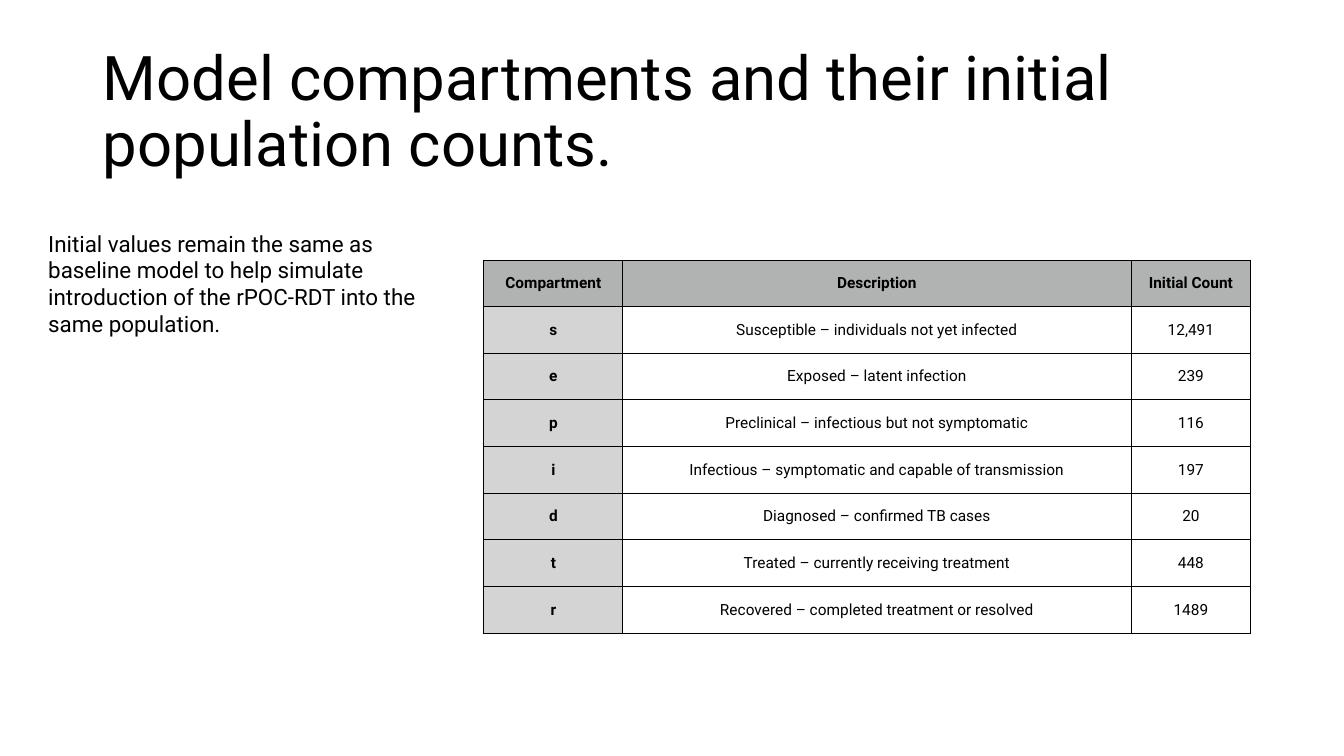
from dataclasses import dataclass

from lxml import etree
from pptx import Presentation
from pptx.dml.color import RGBColor
from pptx.enum.text import MSO_ANCHOR, MSO_AUTO_SIZE, PP_ALIGN
from pptx.oxml.ns import qn
from pptx.util import Inches, Pt

MIDDLE = MSO_ANCHOR.MIDDLE
LEFT, CENTER = PP_ALIGN.LEFT, PP_ALIGN.CENTER
NO_FIT, GROW = MSO_AUTO_SIZE.NONE, MSO_AUTO_SIZE.SHAPE_TO_FIT_TEXT
TITLE_ONLY = 5


@dataclass(frozen=True)
class Theme:
    font: str = "Roboto"
    ink: str = "000000"
    header_fill: str = "B0B3B2"
    key_fill: str = "D4D4D4"
    title_size: int = 44
    body_size: int = 16
    table_size: int = 11
    border: float = 0.75
    cell_margin: float = 0.03


class SlideBuilder:
    """Places styled elements on one slide; lengths are percent of its size."""

    def __init__(self, deck, theme):
        self.deck, self.theme = deck, theme
        self.slide = deck.slides.add_slide(deck.slide_layouts[TITLE_ONLY])

    def across(self, percent):
        return round(self.deck.slide_width * percent / 100)

    def down(self, percent):
        return round(self.deck.slide_height * percent / 100)

    def box(self, left, top, width, height):
        return self.across(left), self.down(top), self.across(width), self.down(height)

    def set_text(self, frame, text, size, align, bold=False):
        frame.text = text
        for paragraph in frame.paragraphs:
            paragraph.alignment = align
            for run in paragraph.runs:
                run.font.name = self.theme.font
                run.font.size = Pt(size)
                run.font.bold = bold
                run.font.color.rgb = RGBColor.from_string(self.theme.ink)

    def title(self, text, *place):
        heading = self.slide.shapes.title
        heading.left, heading.top, heading.width, heading.height = self.box(*place)
        frame = heading.text_frame
        self.set_text(frame, text, self.theme.title_size, LEFT)
        frame.word_wrap = True
        frame.auto_size = NO_FIT
        frame.vertical_anchor = MIDDLE
        frame.paragraphs[0].line_spacing = 0.9

    def paragraph(self, text, *place):
        frame = self.slide.shapes.add_textbox(*self.box(*place)).text_frame
        frame.word_wrap = True
        frame.auto_size = GROW
        self.set_text(frame, text, self.theme.body_size, LEFT)

    def table(self, rows, left, top, column_widths, row_height):
        place = self.box(left, top, sum(column_widths), row_height * len(rows))
        grid = self.slide.shapes.add_table(len(rows), len(column_widths), *place).table
        for column, width in zip(grid.columns, column_widths):
            column.width = self.across(width)
        for r, row in enumerate(rows):
            grid.rows[r].height = self.down(row_height)
            for c, text in enumerate(row):
                self.cell(grid.cell(r, c), text, is_header=r == 0, is_key=c == 0)

    def cell(self, cell, text, is_header, is_key):
        self.set_text(cell.text_frame, text, self.theme.table_size, CENTER,
                      is_header or is_key)
        cell.vertical_anchor = MIDDLE
        margin = Inches(self.theme.cell_margin)
        cell.margin_left = cell.margin_right = margin
        cell.margin_top = cell.margin_bottom = margin
        if is_header or is_key:
            cell.fill.solid()
            fill = self.theme.header_fill if is_header else self.theme.key_fill
            cell.fill.fore_color.rgb = RGBColor.from_string(fill)
        else:
            cell.fill.background()
        self.outline(cell)

    def outline(self, cell):
        properties = cell._tc.get_or_add_tcPr()
        for position, side in enumerate(("a:lnL", "a:lnR", "a:lnT", "a:lnB")):
            line = etree.Element(qn(side), w=str(Pt(self.theme.border)))
            solid = etree.SubElement(line, qn("a:solidFill"))
            etree.SubElement(solid, qn("a:srgbClr"), val=self.theme.ink)
            properties.insert(position, line)


COMPARTMENTS = [
    ("Compartment", "Description", "Initial Count"),
    ("s", "Susceptible – individuals not yet infected", "12,491"),
    ("e", "Exposed – latent infection", "239"),
    ("p", "Preclinical – infectious but not symptomatic", "116"),
    ("i", "Infectious – symptomatic and capable of transmission", "197"),
    ("d", "Diagnosed – confirmed TB cases", "20"),
    ("t", "Treated – currently receiving treatment", "448"),
    ("r", "Recovered – completed treatment or resolved", "1489"),
]


def main():
    deck = Presentation()
    deck.slide_width, deck.slide_height = Inches(13.33), Inches(7.5)
    page = SlideBuilder(deck, Theme())
    page.title("Model compartments and their initial population counts.",
               6.9, 5.33, 86.27, 19.33)
    page.paragraph("Initial values remain the same as baseline model to help simulate "
                   "introduction of the rPOC-RDT into the same population.",
                   2.85, 29.73, 30.6, 15.73)
    page.table(COMPARTMENTS, left=36, top=34.4,
               column_widths=(10.35, 37.8, 8.93), row_height=6.17)
    deck.save("out.pptx")


if __name__ == "__main__":
    main()
